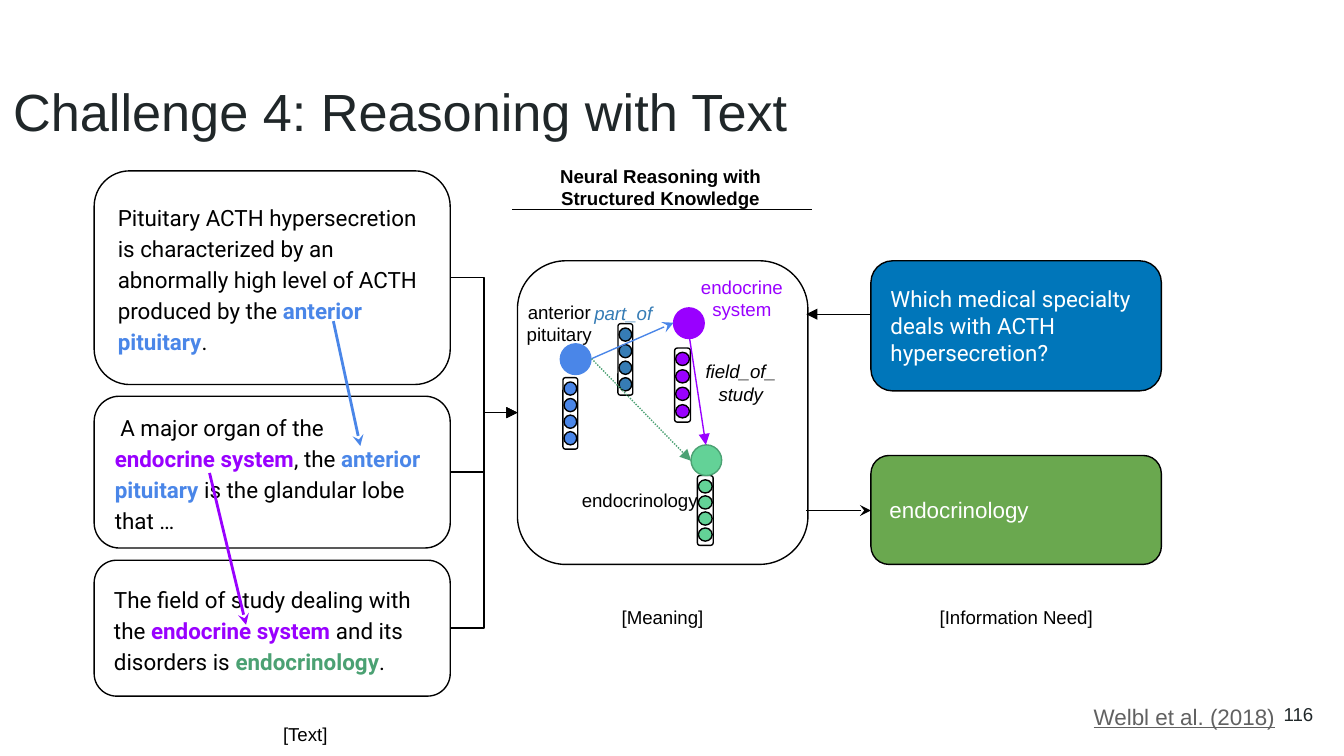
"""Builds a slide on reasoning with text: passages, a small graph and a question."""
from typing import NamedTuple, Optional

from lxml.etree import SubElement
from pptx import Presentation
from pptx.dml.color import RGBColor
from pptx.enum.dml import MSO_LINE
from pptx.enum.shapes import MSO_CONNECTOR as Link, MSO_SHAPE as Form
from pptx.enum.text import MSO_ANCHOR as Anchor, PP_ALIGN as Align
from pptx.oxml.ns import qn
from pptx.util import Cm, Pt

BLACK, WHITE, DARK, GREY = "000000", "FFFFFF", "202729", "616161"
BLUE, PURPLE, MINT, GREEN, STEEL = "4A86E8", "9900FF", "63D297", "4BA173", "367CB5"


class Area(NamedTuple):
    left: float
    top: float
    width: float
    height: float

    @property
    def middle(self) -> float:
        return self.top + self.height / 2


class Span(NamedTuple):
    text: str
    color: str = BLACK
    bold: bool = False


class Label(NamedTuple):
    area: Area
    text: str
    color: str = BLACK
    size: float = 10
    align: Align = Align.CENTER
    anchor: Anchor = Anchor.MIDDLE
    bold: bool = False
    italic: bool = False
    underline: bool = False
    spacing: Optional[float] = None
    after: float = 0


class Card(NamedTuple):
    area: Area
    spans: tuple = ()
    fill: Optional[str] = None
    font: str = "Roboto"
    spacing: float = 1.0


class Node(NamedTuple):
    left: float
    top: float
    fill: str
    outline: str


class Stack(NamedTuple):
    area: Area
    fill: str


class Arrow(NamedTuple):
    start: tuple
    end: tuple
    color: str = BLACK
    width: float = 0.75
    head: Optional[str] = "triangle"
    kind: Link = Link.STRAIGHT
    dotted: bool = False


PASSAGES = [
    Card(Area(1.78, 3.23, 6.73, 4.04), (
        Span("Pituitary ACTH hypersecretion is characterized by an "
             "abnormally high level of ACTH produced by the "),
        Span("anterior pituitary", BLUE, True), Span(".")), spacing=1.15),
    Card(Area(1.78, 7.49, 6.73, 2.87), (
        Span(" A major organ of the "), Span("endocrine system", PURPLE, True),
        Span(", the "), Span("anterior pituitary", BLUE, True),
        Span(" is the glandular lobe that …")), spacing=1.15),
    Card(Area(1.78, 10.59, 6.73, 2.57), (
        Span("The field of study dealing with the "), Span("endocrine system", PURPLE, True),
        Span(" and its disorders is "), Span("endocrinology", GREEN, True),
        Span(".")), spacing=1.15),
]
MEANING = Card(Area(9.78, 4.93, 5.49, 5.74))
QUESTION = Card(Area(16.46, 4.93, 5.49, 2.46), (
    Span("Which medical specialty deals with ACTH hypersecretion?", WHITE),), "0076BA")
ANSWER = Card(Area(16.46, 8.61, 5.49, 2.06), (Span("endocrinology", WHITE),), "6AA84F", "Arial")

STACKS = [
    Stack(Area(10.64, 7.14, 0.28, 1.35), BLUE),
    Stack(Area(12.75, 6.58, 0.3, 1.4), PURPLE),
    Stack(Area(13.18, 8.99, 0.3, 1.32), MINT),
    Stack(Area(11.68, 6.12, 0.28, 1.35), STEEL),
]
NODES = [
    Node(10.59, 6.5, BLUE, BLUE),
    Node(12.73, 5.82, PURPLE, PURPLE),
    Node(13.06, 8.41, MINT, GREEN),
]
ARROWS = [
    Arrow((9.68, 3.96), (15.34, 3.96), head=None),
    Arrow((16.46, 5.94), (15.24, 5.94), kind=Link.ELBOW),
    Arrow((15.24, 9.65), (16.46, 9.65), head="stealth", kind=Link.ELBOW),
    Arrow((6.3, 6.07), (6.81, 8.43), BLUE, 1.5, "stealth"),
    Arrow((3.96, 8.94), (4.65, 11.81), PURPLE, 1.5, "stealth"),
    Arrow((11.18, 6.78), (12.73, 6.1), BLUE, head="stealth"),
    Arrow((11.18, 6.78), (13.06, 8.71), GREEN, dotted=True),
    Arrow((13.03, 6.38), (13.34, 8.41), PURPLE),
] + [
    Arrow((8.51, passage.area.middle), (9.78, 7.8), kind=Link.ELBOW) for passage in PASSAGES
]
LABELS = [
    Label(Area(0, 1.24, 23.67, 1.6), "Challenge 4: Reasoning with Text", DARK, 28,
          Align.LEFT, Anchor.TOP),
    Label(Area(23.55, 12.95, 1.52, 1.09), "116", DARK, align=Align.RIGHT),
    Label(Area(9.47, 3.12, 6.02, 0.84), "Neural Reasoning with Structured Knowledge", bold=True),
    Label(Area(4.27, 13.45, 3, 0.84), "[Text]"),
    Label(Area(11.02, 11.25, 3, 0.84), "[Meaning]"),
    Label(Area(17.2, 11.25, 4.01, 0.84), "[Information Need]"),
    Label(Area(20.42, 13.08, 4.98, 0.84), "Welbl et al. (2018)", GREY, 12, Align.LEFT,
          underline=True, spacing=1.15, after=16),
    Label(Area(9.53, 5.69, 2.08, 0.84), "anterior pituitary"),
    Label(Area(10.74, 5.49, 2.08, 0.84), "part_of", STEEL, italic=True),
    Label(Area(10.64, 8.74, 2.9, 1.42), "endocrinology"),
    Label(Area(13.06, 6.81, 1.88, 0.84), "field_of_study", italic=True),
    Label(Area(12.98, 5.21, 2.08, 0.84), "endocrine system", PURPLE),
]


def paint(target, color: str) -> None:
    """Give a fill a solid hex colour."""
    target.solid()
    target.fore_color.rgb = RGBColor.from_string(color)


def set_frame(frame, anchor: Anchor) -> None:
    """Wrap a text frame with even margins."""
    frame.word_wrap = True
    frame.vertical_anchor = anchor
    frame.margin_left = frame.margin_right = frame.margin_top = frame.margin_bottom = Cm(0.25)


def draw_shape(page, form: Form, area: Area, fill: Optional[str], outline: str = BLACK):
    """Draw a thinly outlined shape, hollow when no fill is given."""
    shape = page.shapes.add_shape(form, *map(Cm, area))
    shape.shadow.inherit = False
    if fill:
        paint(shape.fill, fill)
    else:
        shape.fill.background()
    paint(shape.line.fill, outline)
    shape.line.width = Pt(0.75)
    return shape


def draw_card(page, card: Card) -> None:
    """Draw a rounded box holding one paragraph of coloured spans."""
    frame = draw_shape(page, Form.ROUNDED_RECTANGLE, card.area, card.fill).text_frame
    set_frame(frame, Anchor.MIDDLE)
    paragraph = frame.paragraphs[0]
    paragraph.alignment = Align.LEFT
    paragraph.line_spacing = card.spacing
    for span in card.spans:
        run = paragraph.add_run()
        run.text = span.text
        run.font.name, run.font.size, run.font.bold = card.font, Pt(12), span.bold
        paint(run.font.fill, span.color)


def draw_stack(page, stack: Stack) -> None:
    """Draw a vector as four evenly spaced dots in a frame."""
    area, dot, margin = stack.area, 0.25, 0.08
    draw_shape(page, Form.ROUNDED_RECTANGLE, area, None)
    step = (area.height - 2 * margin - dot) / 3
    for index in range(4):
        place = Area(area.left + 0.02, area.top + margin + index * step, area.width - 0.04, dot)
        draw_shape(page, Form.OVAL, place, stack.fill)


def draw_arrow(page, arrow: Arrow) -> None:
    """Draw a connector with an optional head at its end."""
    connector = page.shapes.add_connector(arrow.kind, *map(Cm, arrow.start + arrow.end))
    paint(connector.line.fill, arrow.color)
    connector.line.width = Pt(arrow.width)
    if arrow.dotted:
        connector.line.dash_style = MSO_LINE.ROUND_DOT
    properties = connector._element.spPr
    if arrow.head:
        SubElement(properties.find(qn("a:ln")), qn("a:tailEnd"), type=arrow.head)
    SubElement(properties, qn("a:effectLst"))


def draw_label(page, label: Label) -> None:
    """Draw a text box with one uniformly styled paragraph."""
    frame = page.shapes.add_textbox(*map(Cm, label.area)).text_frame
    set_frame(frame, label.anchor)
    frame.text = label.text
    paragraph = frame.paragraphs[0]
    paragraph.alignment = label.align
    paragraph.line_spacing, paragraph.space_after = label.spacing, Pt(label.after)
    font = paragraph.runs[0].font
    font.name, font.size = "Arial", Pt(label.size)
    font.bold, font.italic, font.underline = label.bold, label.italic, label.underline
    paint(font.fill, label.color)


def main() -> None:
    """Build and save the deck."""
    deck = Presentation()
    deck.slide_width, deck.slide_height = Cm(25.4), Cm(14.29)
    page = deck.slides.add_slide(deck.slide_layouts[6])
    for card in (*PASSAGES, MEANING, QUESTION, ANSWER):
        draw_card(page, card)
    for stack in STACKS:
        draw_stack(page, stack)
    for node in NODES:
        draw_shape(page, Form.OVAL, Area(node.left, node.top, 0.58, 0.58), node.fill, node.outline)
    for arrow in ARROWS:
        draw_arrow(page, arrow)
    for label in LABELS:
        draw_label(page, label)
    deck.save("out.pptx")


if __name__ == "__main__":
    main()
